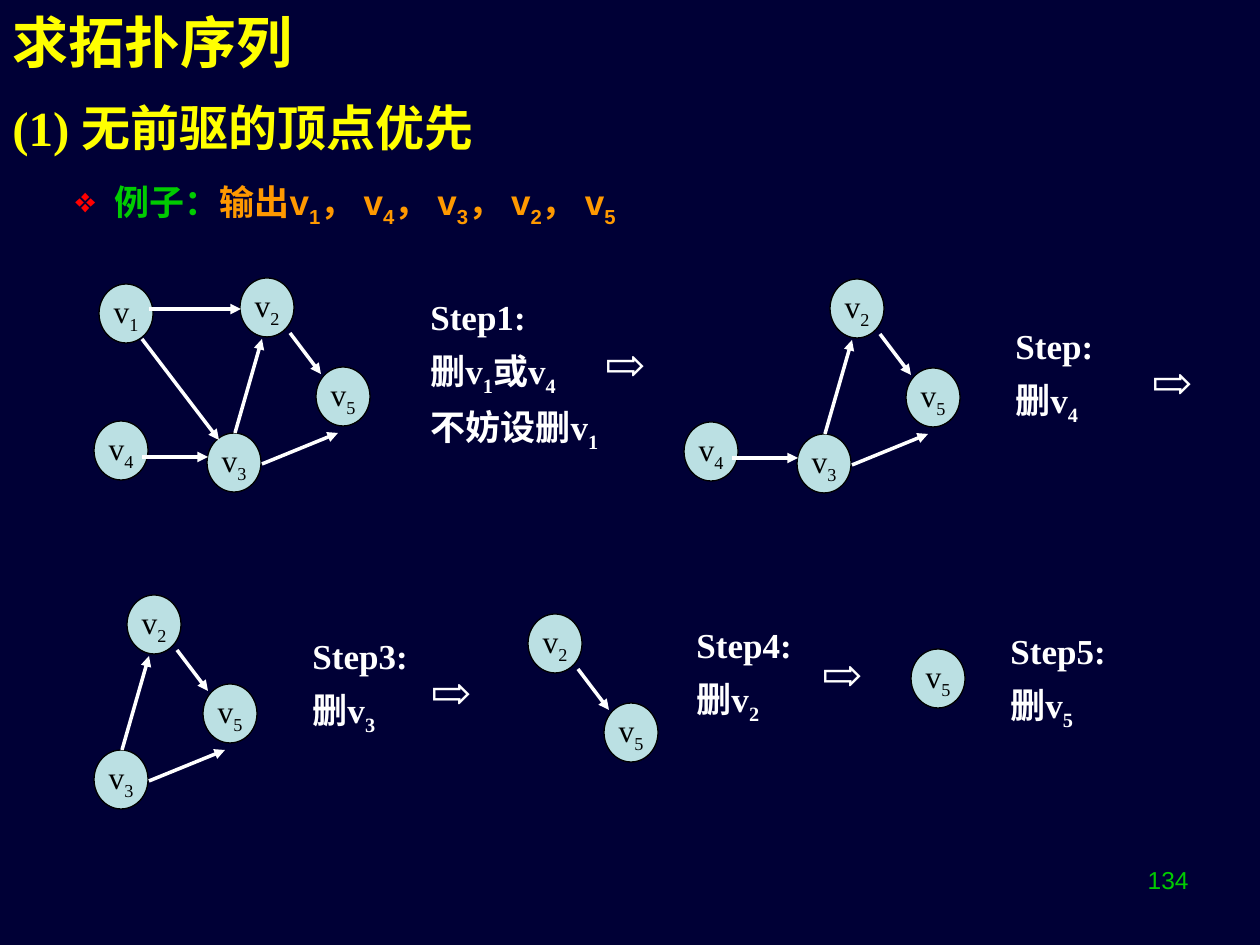
from lxml import etree
from pptx import Presentation
from pptx import util as u
from pptx.dml.color import RGBColor
from pptx.enum import shapes, text
from pptx.oxml import ns

SERIF, SANS = "Times New Roman", "Arial"
NAVY = RGBColor(0x00, 0x00, 0x36)
YELLOW = RGBColor(0xFF, 0xFF, 0x00)
GREEN = RGBColor(0x00, 0xCC, 0x00)
ORANGE = RGBColor(0xFF, 0x99, 0x00)
WHITE = RGBColor(0xFF, 0xFF, 0xFF)
BLACK = RGBColor(0x00, 0x00, 0x00)
RED = RGBColor(0xFF, 0x00, 0x00)
PALE_TEAL = RGBColor(0xBB, 0xE0, 0xE3)

NODE_W, NODE_H = 54, 59
# Vertex corners and edge ends, measured from the corner of the full graph
NODES = {1: (5, 6), 2: (146, 0), 3: (113, 155), 4: (0, 143), 5: (222, 89)}
EDGES = {
    (1, 2): (55, 31, 147, 31),
    (4, 3): (48, 179, 114, 179),
    (3, 2): (141, 155, 168, 61),
    (1, 3): (48, 61, 125, 162),
    (2, 5): (196, 55, 227, 96),
    (3, 5): (168, 186, 244, 155),
}
# Corner of the full graph, and the vertices still left in it
GRAPHS = [
    (94, 278, (1, 3, 4, 2, 5)),
    (684, 279, (3, 4, 2, 5)),
    (-19, 595, (3, 2, 5)),
    (382, 614, (2, 5)),
    (689, 560, (5,)),
]
STEPS = [
    (418, 297, 238, 156, ["Step1:", "删v_1或v_4", "不妨设删v_1"]),
    (1003, 326, 205, 101, ["Step:", "删v_4"]),
    (300, 636, 205, 101, ["Step3:", "删v_3"]),
    (684, 625, 205, 101, ["Step4:", "删v_2"]),
    (998, 631, 205, 101, ["Step5:", "删v_5"]),
]
NEXT_ARROWS = [(592, 339), (1139, 357), (418, 667), (809, 649)]


def px(length):
    return u.Emu(round(length * 914400 / 126))


def add_text(para, content, size, color, font=SERIF, bold=False):
    """Add content to para; the character after each underscore is a subscript."""
    first, *others = content.split("_")
    pieces = [(first, False)]
    for other in others:
        pieces += [(other[0], True), (other[1:], False)]
    for piece, lowered in pieces:
        if not piece:
            continue
        span = para.add_run()
        span.text = piece
        span.font.name = font
        span.font.size = u.Pt(size)
        span.font.bold = bold
        span.font.color.rgb = color
        if lowered:
            span.font._element.set("baseline", "-25000")


def add_box(page, left, top, width, height, grow=False):
    box = page.shapes.add_textbox(px(left), px(top), px(width), px(height))
    frame = box.text_frame
    frame.word_wrap = True
    if grow:
        frame.auto_size = text.MSO_AUTO_SIZE.SHAPE_TO_FIT_TEXT
    return frame


def add_bullet(para, mark, color, margin, indent):
    props = para._p.get_or_add_pPr()
    props.set("marL", str(px(margin)))
    props.set("indent", str(px(indent)))
    tint = etree.SubElement(props, ns.qn("a:buClr"))
    etree.SubElement(tint, ns.qn("a:srgbClr"), val=str(color))
    etree.SubElement(props, ns.qn("a:buChar"), char=mark)


def add_title(page, left, top, width, height):
    frame = add_box(page, left, top, width, height)
    frame.vertical_anchor = text.MSO_ANCHOR.MIDDLE
    add_text(frame.paragraphs[0], "求拓扑序列", 32, YELLOW, bold=True)


def add_body(page, left, top, width, height):
    frame = add_box(page, left, top, width, height)
    heading = frame.paragraphs[0]
    heading.space_after = u.Pt(14)
    add_text(heading, "(1) 无前驱的顶点优先", 28, YELLOW, bold=True)
    example = frame.add_paragraph()
    add_bullet(example, "❖", RED, 102, -39)
    add_text(example, "例子：", 20, GREEN, SANS, True)
    add_text(example, "输出v_1， v_4， v_3， v_2， v_5", 20, ORANGE, SANS, True)


def add_page_number(page, left, top, width, height):
    para = add_box(page, left, top, width, height).paragraphs[0]
    para.alignment = text.PP_ALIGN.RIGHT
    add_text(para, "134", 14, GREEN, SANS)


def add_node(page, left, top, number):
    node = page.shapes.add_shape(shapes.MSO_SHAPE.OVAL, px(left), px(top),
                                 px(NODE_W), px(NODE_H))
    node.shadow.inherit = False
    node.fill.solid()
    node.fill.fore_color.rgb = PALE_TEAL
    node.line.color.rgb = BLACK
    node.line.width = u.Pt(0.75)
    frame = node.text_frame
    frame.word_wrap = False
    frame.vertical_anchor = text.MSO_ANCHOR.MIDDLE
    para = frame.paragraphs[0]
    para.alignment = text.PP_ALIGN.CENTER
    para.line_spacing = 0.8
    add_text(para, f"v_{number}", 18, BLACK)


def add_edge(page, x1, y1, x2, y2):
    edge = page.shapes.add_connector(shapes.MSO_CONNECTOR.STRAIGHT,
                                     px(x1), px(y1), px(x2), px(y2))
    edge.line.color.rgb = WHITE
    edge.line.width = u.Pt(2)
    etree.SubElement(edge.line._get_or_add_ln(), ns.qn("a:tailEnd"), type="triangle")
    etree.SubElement(edge._element.spPr, ns.qn("a:effectLst"))


def add_graph(page, left, top, vertices):
    """Draw the vertices given and every edge that joins two of them."""
    for number in vertices:
        x, y = NODES[number]
        add_node(page, left + x, top + y, number)
    for ends, (x1, y1, x2, y2) in EDGES.items():
        if set(ends) <= set(vertices):
            add_edge(page, left + x1, top + y1, left + x2, top + y2)


def add_step(page, left, top, width, height, lines):
    frame = add_box(page, left, top, width, height, grow=True)
    for index, line in enumerate(lines):
        para = frame.add_paragraph() if index else frame.paragraphs[0]
        para.line_spacing = 0.8
        if index:
            para.space_before = u.Pt(10)
        add_text(para, line, 20, WHITE, bold=True)


def add_next_arrow(page, left, top):
    para = add_box(page, left, top, 87, 59, grow=True).paragraphs[0]
    para.line_spacing = 0.8
    add_text(para, "⇨", 28, WHITE)


def main():
    deck = Presentation()
    deck.slide_width, deck.slide_height = px(1260), px(945)
    page = deck.slides.add_slide(deck.slide_layouts[6])
    page.background.fill.solid()
    page.background.fill.fore_color.rgb = NAVY

    add_page_number(page, 907, 859, 294, 66)
    add_title(page, 0, 0, 1235, 82)
    add_body(page, 0, 91, 1235, 854)
    for graph in GRAPHS:
        add_graph(page, *graph)
    for step in STEPS:
        add_step(page, *step)
    for corner in NEXT_ARROWS:
        add_next_arrow(page, *corner)
    deck.save("out.pptx")


if __name__ == "__main__":
    main()
